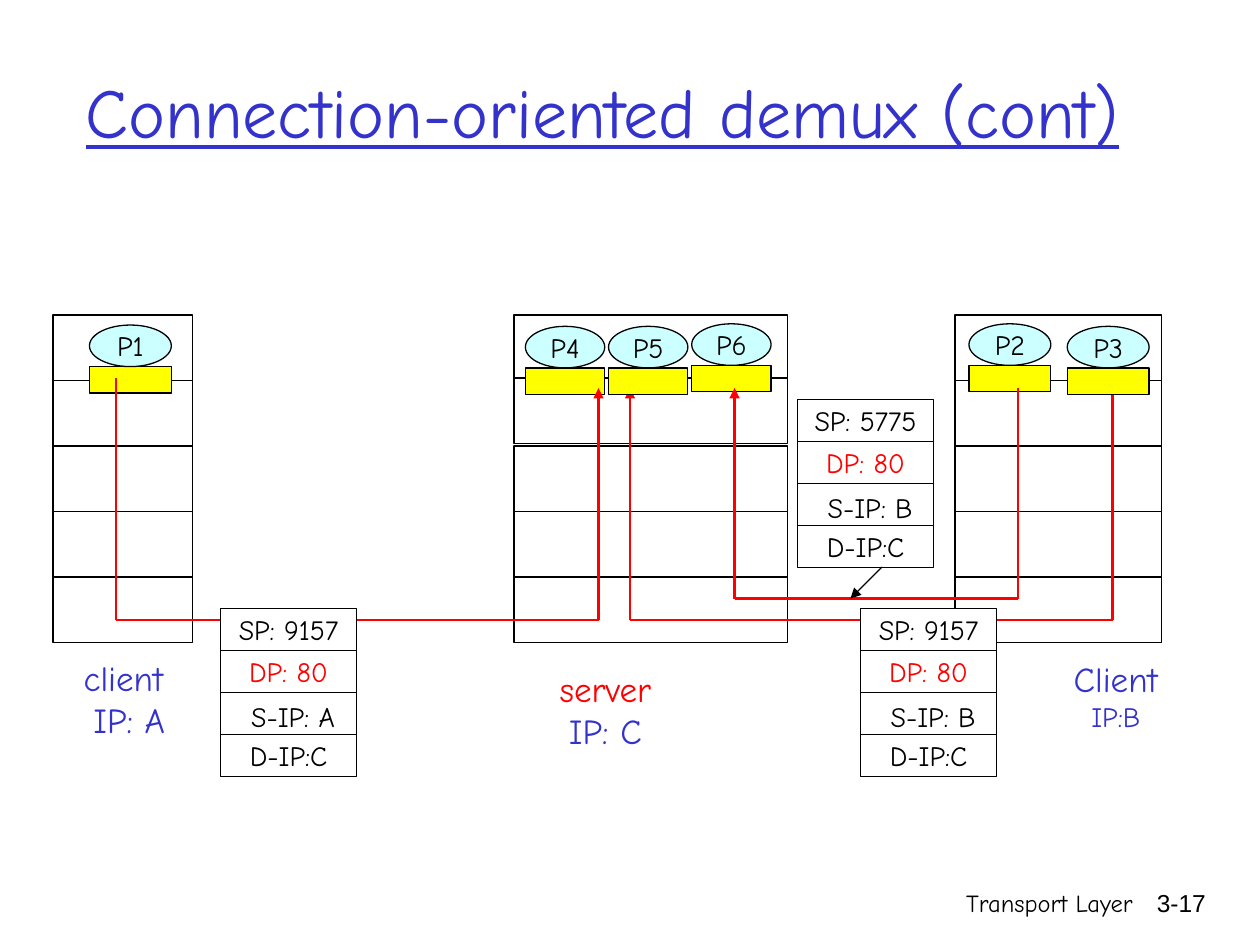
from typing import NamedTuple

from lxml import etree
from pptx import Presentation, util as u
from pptx.dml.color import RGBColor
from pptx.enum import shapes, text
from pptx.oxml import ns

COLORS = {"black": "000000", "white": "FFFFFF", "blue": "3333CC",
          "red": "FF0000", "yellow": "FFFF00", "cyan": "CCFFFF"}
FONT = "Comic Neue"
RECT, OVAL = shapes.MSO_SHAPE.RECTANGLE, shapes.MSO_SHAPE.OVAL
LAYER_H, PACKET_W, PACKET_H = 0.52, 1.08, 1 / 3


class Host(NamedTuple):
    """A protocol stack with its left edge, width and layer tops."""
    x: float
    w: float
    tops: tuple


class Process(NamedTuple):
    """A process oval standing on its socket."""
    name: str
    x: float
    y: float
    w: float


class Packet(NamedTuple):
    """A segment header with its source port and source address."""
    x: float
    y: float
    port: str
    source: str


class Link(NamedTuple):
    """A straight line, optionally ending in an arrowhead."""
    x1: float
    y1: float
    x2: float
    y2: float
    arrow: bool = False
    color: str = "red"
    width: float = 1.5


def rgb(name: str) -> RGBColor:
    """Look up a named colour."""
    return RGBColor.from_string(COLORS[name])


def write(tf, lines, *, size=16, color="black", font=FONT, wrap=False,
          align=text.PP_ALIGN.CENTER, anchor=text.MSO_ANCHOR.MIDDLE,
          underline=None) -> None:
    """Fill a text frame; a line is text or (text, size, colour)."""
    tf.auto_size = text.MSO_AUTO_SIZE.NONE
    tf.word_wrap = wrap
    tf.vertical_anchor = anchor
    for i, line in enumerate(lines):
        words, pt, shade = (line, size, color) if isinstance(line, str) else line
        p = tf.paragraphs[0] if i == 0 else tf.add_paragraph()
        p.alignment = align
        r = p.add_run()
        r.text = words
        r.font.name, r.font.size, r.font.underline = font, u.Pt(pt), underline
        r.font.color.rgb = rgb(shade)


def label(s, x: float, y: float, w: float, h: float, lines, **fmt) -> None:
    """Add a text box anchored at the top."""
    box = s.shapes.add_textbox(*map(u.Inches, (x, y, w, h)))
    write(box.text_frame, lines, anchor=text.MSO_ANCHOR.TOP, **fmt)


def block(s, kind, x: float, y: float, w: float, h: float, fill="white"):
    """Add an outlined shape and return it."""
    sp = s.shapes.add_shape(kind, *map(u.Inches, (x, y, w, h)))
    sp.shadow.inherit = False
    sp.fill.solid()
    sp.fill.fore_color.rgb = rgb(fill)
    sp.line.color.rgb = rgb("black")
    sp.line.width = u.Pt(0.74)
    return sp


def draw_host(s, host: Host) -> None:
    """Draw the five layers of a host."""
    for top in host.tops:
        block(s, RECT, host.x, top, host.w, LAYER_H)


def draw_process(s, proc: Process) -> None:
    """Draw a socket with its process above it."""
    block(s, RECT, proc.x, proc.y + 0.33, proc.w, 0.21, "yellow")
    sp = block(s, OVAL, proc.x, proc.y, proc.w, 0.33, "cyan")
    write(sp.text_frame, [proc.name])


def draw_packet(s, packet: Packet) -> None:
    """Draw the four header fields of a packet."""
    fields = [(f"SP: {packet.port}", "black"), ("DP: 80", "red"),
              (f"S-IP: {packet.source}", "black"), ("D-IP:C", "black")]
    for i, (words, color) in enumerate(fields):
        sp = block(s, RECT, packet.x, packet.y + i * PACKET_H, PACKET_W, PACKET_H)
        write(sp.text_frame, [words], color=color)
        if words.startswith("S-IP"):
            sp.text_frame.margin_left = u.Inches(0.17)
            sp.text_frame.margin_top = u.Inches(0.09)


def draw_link(s, link: Link) -> None:
    """Draw one line."""
    ends = map(u.Inches, (link.x1, link.y1, link.x2, link.y2))
    cx = s.shapes.add_connector(shapes.MSO_CONNECTOR.STRAIGHT, *ends)
    cx.line.color.rgb = rgb(link.color)
    cx.line.width = u.Pt(link.width)
    if link.arrow:
        ln = cx.line._get_or_add_ln()
        etree.SubElement(ln, ns.qn("a:tailEnd"), type="triangle")
    etree.SubElement(cx._element.spPr, ns.qn("a:effectLst"))


def layer_tops(second: float) -> tuple:
    """Give the layer tops, with the second one placed freely."""
    return (2.5, second, 3.54, 4.06, 4.58)


DRAW = {Host: draw_host, Process: draw_process, Packet: draw_packet, Link: draw_link}

# Back to front: lines pass over some sockets and under others.
DIAGRAM = [
    Host(0.42, 1.11, layer_tops(3.02)),
    Host(7.58, 1.64, layer_tops(3.02)),
    Host(4.08, 2.17, layer_tops(3)),
    Process("P1", 0.71, 2.58, 0.65),
    Process("P2", 7.69, 2.57, 0.65),
    Process("P4", 4.17, 2.59, 0.63),
    Link(0.92, 3, 0.92, 4.92),
    Link(0.92, 4.92, 4.75, 4.92),
    Link(4.75, 4.92, 4.75, 3.08, arrow=True),
    Link(8.83, 3, 8.83, 4.92),
    Link(5, 4.92, 8.83, 4.92),
    Link(5, 4.92, 5, 3.08, arrow=True),
    Process("P5", 4.83, 2.59, 0.63),
    Process("P6", 5.49, 2.57, 0.63),
    Process("P3", 8.47, 2.59, 0.65),
    Link(8.08, 3.08, 8.08, 4.75),
    Link(5.83, 4.75, 8.08, 4.75),
    Link(5.83, 4.75, 5.83, 3.08, arrow=True),
    Packet(1.75, 4.83, "9157", "A"),
    Packet(6.83, 4.83, "9157", "B"),
    Packet(6.33, 3.17, "5775", "B"),
    Link(7, 4.5, 6.75, 4.75, arrow=True, color="black", width=0.74),
]


def main() -> None:
    """Build and save the slide."""
    prs = Presentation()
    prs.slide_width, prs.slide_height = u.Inches(10), u.Inches(7.5)
    s = prs.slides.add_slide(prs.slide_layouts[5])

    title = s.shapes.title
    title.left, title.top = u.Inches(0.58), u.Inches(0.25)
    title.width, title.height = u.Inches(8.5), u.Inches(1.25)
    write(title.text_frame, ["Connection-oriented demux (cont)"], size=40,
          color="blue", underline=True, wrap=True, align=text.PP_ALIGN.LEFT)

    for item in DIAGRAM:
        DRAW[type(item)](s, item)

    label(s, 0.55, 5.16, 0.86, 0.77, ["client", " IP: A"], size=20, color="blue")
    label(s, 4.34, 5.25, 0.93, 0.77, [("server", 20, "red"), ("IP: C", 20, "blue")])
    label(s, 8.42, 5.17, 0.87, 0.7, [("Client", 20, "blue"), ("IP:B", 16, "blue")])

    footer = dict(size=14, wrap=True, align=text.PP_ALIGN.RIGHT)
    label(s, 5.92, 7, 3.17, 0.5, ["Transport Layer"], **footer)
    label(s, 8.93, 7, 0.74, 0.5, ["3-17"], font="Arial", **footer)
    prs.save("out.pptx")


main()
